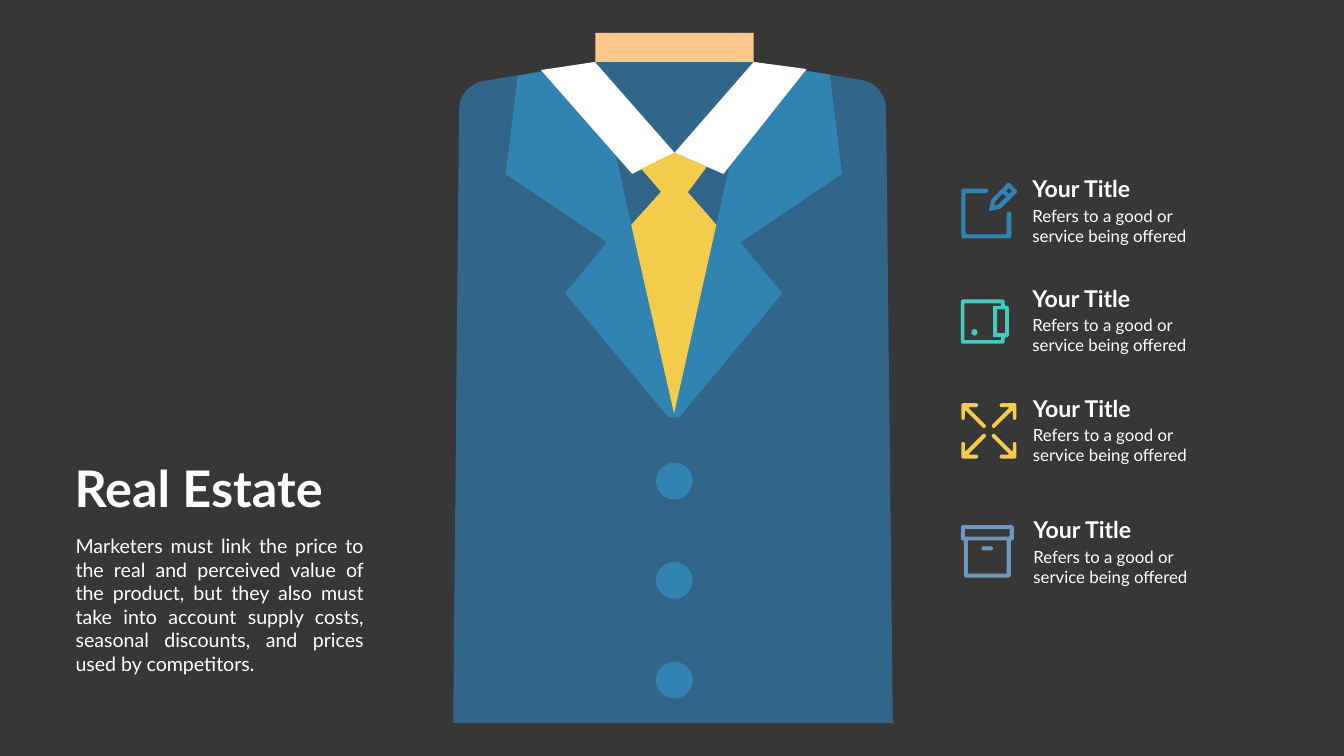
import math
from typing import NamedTuple

import pptx
import pptx.dml.color
import pptx.enum.shapes
import pptx.enum.text
import pptx.util

PX = 9144
SHAPE = pptx.enum.shapes.MSO_SHAPE
ALIGN = pptx.enum.text.PP_ALIGN

BACKDROP = "373737"
SUIT = "31658A"
LAPEL = "3183B1"
SKIN = "FFC88A"
WHITE = "FFFFFF"
GOLD = "F3CC4C"
TEAL = "46CAC0"
STEEL = "6E98BB"
TEXT = "FEFFFF"

Point = tuple[float, float]


class Corner(NamedTuple):
    x: int
    y: int
    radius: int = 0


class Outline(NamedTuple):
    color: str
    contours: list[list[Corner]]


class Item(NamedTuple):
    left: int
    top: int
    title: str
    lines: list[str]


def color_of(value: str):
    return pptx.dml.color.RGBColor.from_string(value)


def corners(points: list[tuple[int, int]], radius: int = 0) -> list[Corner]:
    return [Corner(x, y, radius) for x, y in points]


def rectangle(left: int, top: int, right: int, bottom: int) -> list[Corner]:
    return corners([(left, top), (right, top), (right, bottom), (left, bottom)])


def toward(start: Point, end: Point, distance: float) -> Point:
    share = distance / math.dist(start, end)
    return (start[0] + (end[0] - start[0]) * share, start[1] + (end[1] - start[1]) * share)


def rounded(contour: list[Corner], steps: int = 6) -> list[Point]:
    points = []
    for index, corner in enumerate(contour):
        tip = corner[:2]
        if not corner.radius:
            points.append(tip)
            continue
        before, after = contour[index - 1][:2], contour[(index + 1) % len(contour)][:2]
        trim = min(corner.radius, math.dist(tip, before) / 2, math.dist(tip, after) / 2)
        curve = [toward(tip, before, trim), toward(tip, before, trim * 0.45),
                 toward(tip, after, trim * 0.45), toward(tip, after, trim)]
        for step in range(steps + 1):
            t = step / steps
            weights = ((1 - t) ** 3, 3 * t * (1 - t) ** 2, 3 * t * t * (1 - t), t ** 3)
            points.append(tuple(sum(w * p[axis] for w, p in zip(weights, curve)) for axis in (0, 1)))
    return points


def paint(shape, color: str) -> None:
    shape.shadow.inherit = False
    shape.fill.solid()
    shape.fill.fore_color.rgb = color_of(color)
    shape.line.fill.background()


def draw_outline(page, outline: Outline) -> None:
    builder = None
    for contour in outline.contours:
        points = [(x * PX, y * PX) for x, y in rounded(contour)]
        if builder is None:
            builder = page.shapes.build_freeform(*points[0], scale=1.0)
        else:
            builder.move_to(*points[0])
        builder.add_line_segments(points[1:], close=True)
    paint(builder.convert_to_shape(), outline.color)


def draw_preset(page, kind, left: int, top: int, width: int, height: int, color: str):
    shape = page.shapes.add_shape(kind, left * PX, top * PX, width * PX, height * PX)
    paint(shape, color)
    return shape


def draw_text(page, left: int, top: int, width: int, height: int, lines: list[str],
              size: int, bold: bool = False, align=ALIGN.LEFT, wrap: bool = True) -> None:
    box = page.shapes.add_textbox(left * PX, top * PX, width * PX, height * PX)
    frame = box.text_frame
    frame.word_wrap = wrap
    for index, line in enumerate(lines):
        para = frame.paragraphs[0] if index == 0 else frame.add_paragraph()
        para.text = line
        para.alignment = align
        para.font.name = "Lato"
        para.font.size = pptx.util.Pt(size)
        para.font.bold = bold
        para.font.color.rgb = color_of(TEXT)


def mirrored(points: list[tuple[int, int]], across: int = 0, down: int = 0) -> list[tuple[int, int]]:
    return [(across - x if across else x, down - y if down else y) for x, y in points]


def lapel(shoulder: int) -> list[tuple[int, int]]:
    return [(1338, 828), (1180, 123), (1027, shoulder), (1003, 345),
            (1204, 481), (1121, 582), (1326, 828)]


JACKET = Outline(SUIT, [[Corner(1495, 123), Corner(1757, 167, 46), Corner(1771, 1435),
                         Corner(899, 1435), Corner(911, 169, 46), Corner(1181, 123)]])
CLOTHES = [
    Outline(LAPEL, [corners(lapel(151))]),
    Outline(LAPEL, [corners(mirrored(lapel(148), across=2673))]),
    Outline(WHITE, [corners([(1495, 123), (1600, 137), (1435, 345), (1338, 303)])]),
    Outline(WHITE, [corners([(1254, 345), (1338, 303), (1180, 123), (1073, 139)])]),
    Outline(GOLD, [corners([(1272, 335), (1338, 303), (1402, 331), (1340, 414)])]),
    Outline(GOLD, [corners([(1338, 351), (1252, 446), (1337, 821), (1421, 446)])]),
]

ARROW = [(1907, 800), (1940, 800), (1940, 808), (1920, 808), (1957, 845),
         (1952, 851), (1914, 813), (1914, 833), (1907, 833)]
ICONS = [
    Outline(LAPEL, [corners([(2006, 420), (2006, 473), (1907, 473), (1907, 374), (1960, 374),
                             (1960, 383), (1915, 383), (1915, 465), (1997, 465), (1997, 420)], 4)]),
    Outline(LAPEL, [corners([(2001, 361), (2019, 380), (1985, 414), (1961, 419), (1967, 395)], 4),
                    corners([(2002, 385), (1996, 379), (2001, 373), (2007, 379)]),
                    corners([(1980, 406), (1972, 408), (1974, 400), (1989, 384), (1996, 391)])]),
    Outline(TEAL, [corners([(1906, 594), (1993, 594), (1993, 607), (2001, 607),
                            (2001, 669), (1993, 669), (1993, 682), (1906, 682)], 5),
                   rectangle(1978, 614, 1994, 661),
                   corners([(1913, 602), (1986, 602), (1986, 607), (1970, 607),
                            (1970, 669), (1986, 669), (1986, 675), (1913, 675)])]),
    Outline(STEEL, [corners([(1906, 1042), (2011, 1042), (2011, 1072), (2005, 1072),
                             (2005, 1146), (1912, 1146), (1912, 1072), (1906, 1072)], 5),
                    rectangle(1914, 1050, 2003, 1065),
                    rectangle(1920, 1072, 1997, 1138)]),
] + [Outline(GOLD, [corners(mirrored(ARROW, across, down), 4)])
     for across in (0, 3923) for down in (0, 1710)]

OFFER = ["Refers to a good or", "service being offered"]
ITEMS = [Item(left, top, "Your Title", OFFER)
         for left, top in ((2038, 342), (2038, 559), (2039, 777), (2040, 1018))]
SUMMARY = ("Marketers must link the price to the real and perceived value of the product, "
           "but they also must take into account supply costs, seasonal discounts, "
           "and prices used by competitors.")


def main() -> None:
    deck = pptx.Presentation()
    deck.slide_width, deck.slide_height = 2666 * PX, 1500 * PX
    page = deck.slides.add_slide(deck.slide_layouts[6])
    page.background.fill.solid()
    page.background.fill.fore_color.rgb = color_of(BACKDROP)

    draw_outline(page, JACKET)
    draw_preset(page, SHAPE.RECTANGLE, 1181, 65, 314, 58, SKIN)
    for outline in CLOTHES:
        draw_outline(page, outline)
    for index in range(3):
        draw_preset(page, SHAPE.OVAL, 1301, 918 + index * 395 // 2, 73, 73, LAPEL)

    for outline in ICONS:
        draw_outline(page, outline)
    draw_preset(page, SHAPE.OVAL, 1927, 653, 12, 13, TEAL)
    handle = draw_preset(page, SHAPE.ROUNDED_RECTANGLE, 1947, 1084, 23, 8, STEEL)
    handle.adjustments[0] = 0.5

    for item in ITEMS:
        draw_text(page, item.left, item.top, 230, 66, [item.title], 33, bold=True)
        draw_text(page, item.left, item.top + 61, 352, 91, item.lines, 24)
    draw_text(page, 138, 902, 526, 131, ["Real Estate"], 72, bold=True, wrap=False)
    draw_text(page, 140, 1055, 591, 293, [SUMMARY], 28, align=ALIGN.JUSTIFY)

    deck.save("out.pptx")


if __name__ == "__main__":
    main()
